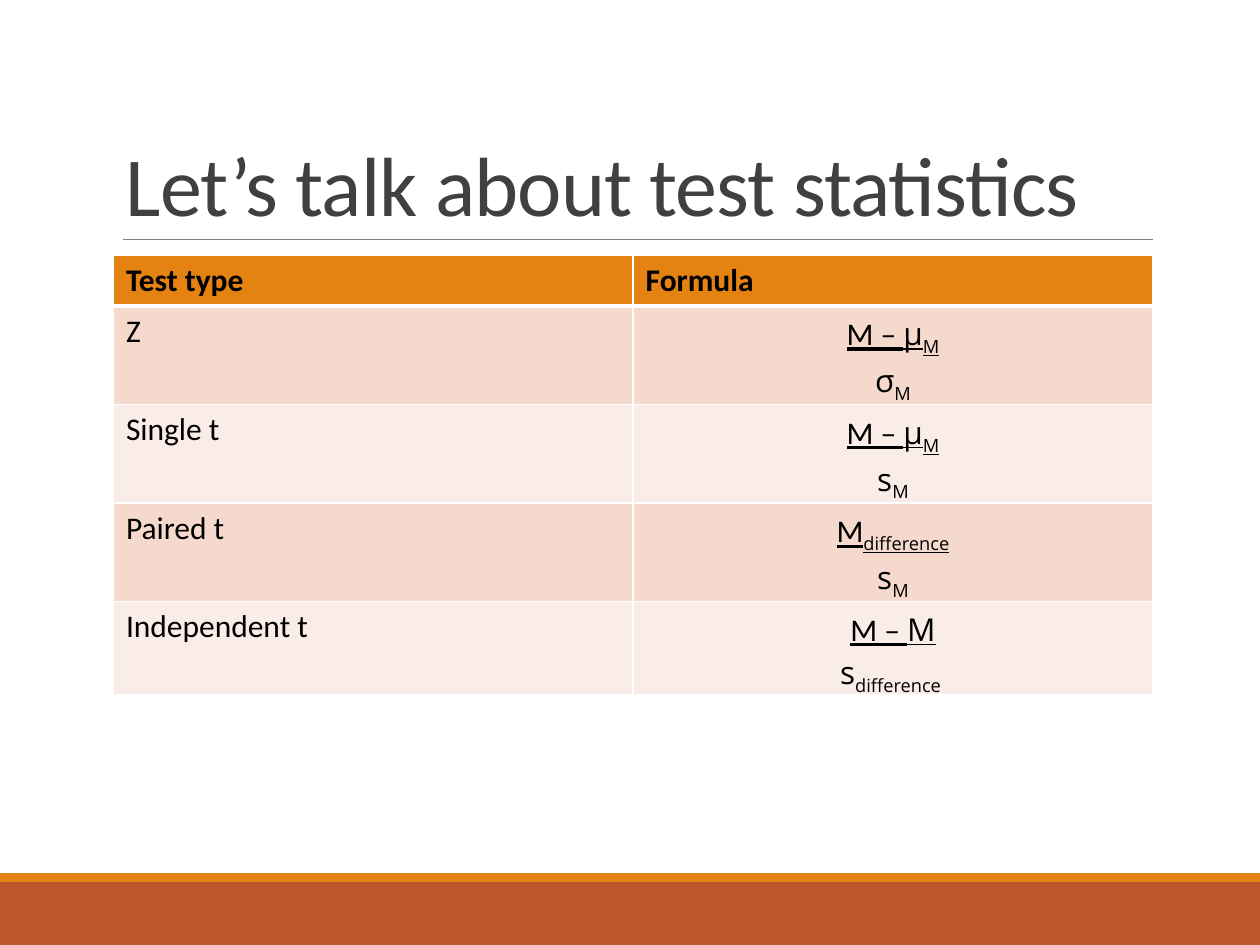
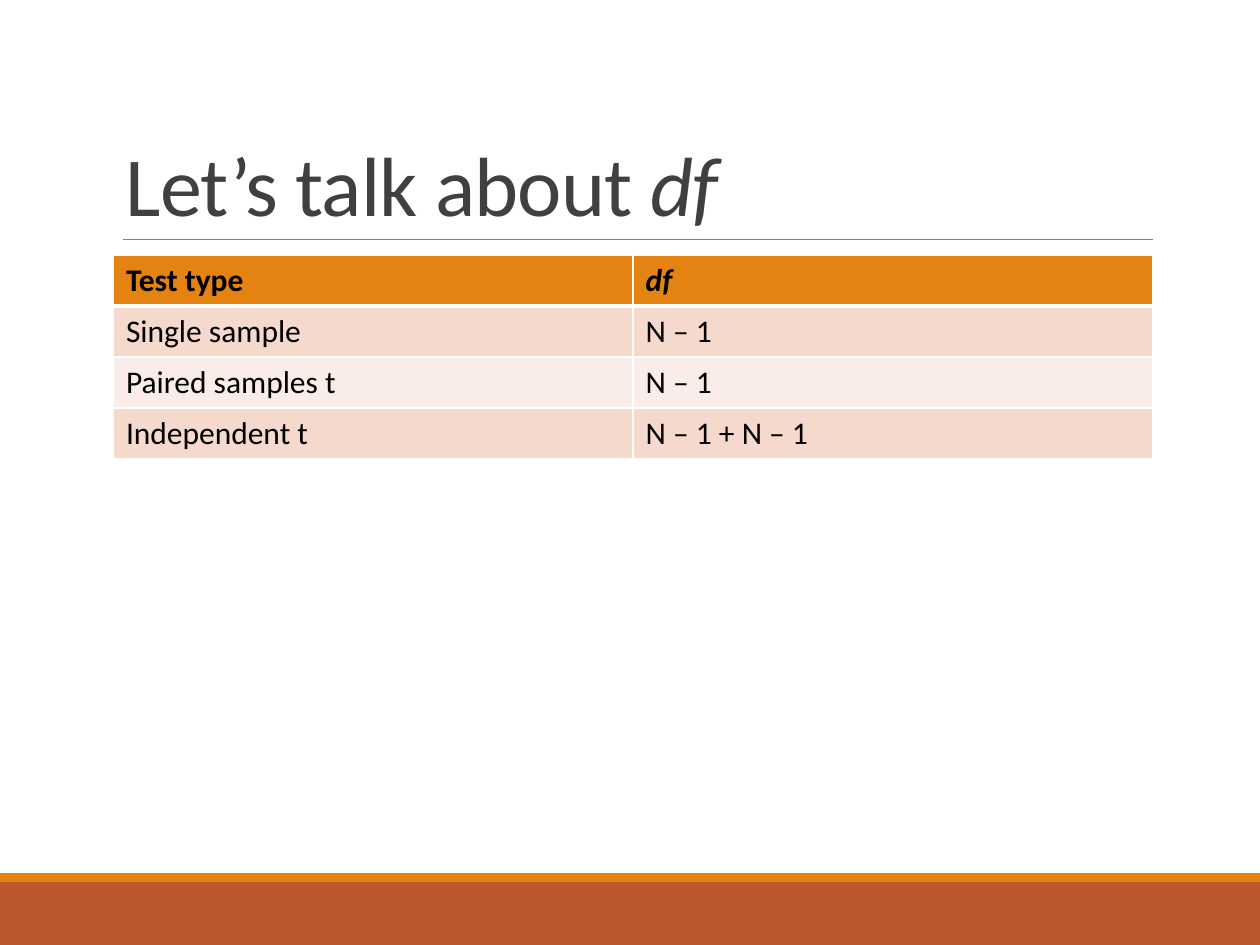
import pptx
import pptx.dml.color
import pptx.enum.shapes
import pptx.enum.text
import pptx.oxml.xmlchemy
import pptx.util
from lxml import etree
from pptx.oxml.ns import qn

Pt = pptx.util.Pt
COLORS = {
    "band": "BD582C",
    "accent": "E48312",
    "rule": "808080",
    "title": "404040",
    "text": "000000",
    "odd_row": "F5D9CC",
    "even_row": "FAEDE7",
    "border": "FFFFFF",
}
BODY_FONT = "Calibri"
FORMULA_FONT = "Open Sans"
SLIDE_WIDTH, SLIDE_HEIGHT = 720, 540
CONTENT_LEFT, CONTENT_WIDTH = 64.8, 594
TABLE_TOP, ROW_HEIGHT = 145.6, 29.2

MEAN_MINUS_MU = [("M – ", "underline"), ("μ", "underline formula"),
                 ("M", "underline formula sub")]
STANDARD_ERROR = [("s", "formula"), ("M", "formula sub")]

TEST_STATISTICS = [
    ("Test type", "Formula"),
    ("Z", [MEAN_MINUS_MU, [("σ", "formula"), ("M", "formula sub")]]),
    ("Single t", [MEAN_MINUS_MU, STANDARD_ERROR]),
    ("Paired t", [[("M", "underline"), ("difference", "underline formula sub")],
                  STANDARD_ERROR]),
    ("Independent t", [[("M – ", "underline"), ("M", "underline formula")],
                       [("s", "formula"), ("difference ", "formula sub")]]),
]
DEGREES_OF_FREEDOM = [
    ("Test type", [[("df", "italic")]]),
    ("Single sample", "N – 1"),
    ("Paired samples t", "N – 1"),
    ("Independent t", "N – 1 + N – 1"),
]


def rgb(name):
    return pptx.dml.color.RGBColor.from_string(COLORS[name])


def write_runs(paragraph, pieces, size, color, bold=False):
    for text, style in pieces:
        run = paragraph.add_run()
        run.text = text
        traits = style.split()
        font = run.font
        font.name = FORMULA_FONT if "formula" in traits else BODY_FONT
        font.size = Pt(size)
        font.color.rgb = rgb(color)
        font.bold = bold
        font.italic = "italic" in traits
        font.underline = "underline" in traits
        if "sub" in traits:
            font._element.set("baseline", "-25000")


def add_band(slide, top, height, color):
    band = slide.shapes.add_shape(
        pptx.enum.shapes.MSO_SHAPE.RECTANGLE,
        Pt(0), Pt(top), Pt(SLIDE_WIDTH), Pt(height))
    band.shadow.inherit = False
    band.fill.solid()
    band.fill.fore_color.rgb = rgb(color)
    band.line.fill.background()


def add_title_rule(slide):
    rule = slide.shapes.add_connector(
        pptx.enum.shapes.MSO_CONNECTOR.STRAIGHT,
        Pt(70.4), Pt(136.8), Pt(CONTENT_LEFT + CONTENT_WIDTH), Pt(136.8))
    rule.line.color.rgb = rgb("rule")
    rule.line.width = Pt(0.5)
    etree.SubElement(rule._element.spPr, qn("a:effectLst"))


def add_title(slide, pieces):
    title = slide.shapes.add_textbox(
        Pt(CONTENT_LEFT), Pt(22.3), Pt(CONTENT_WIDTH), Pt(114.5))
    frame = title.text_frame
    frame.word_wrap = True
    frame.vertical_anchor = pptx.enum.text.MSO_ANCHOR.BOTTOM
    heading = frame.paragraphs[0]
    heading.line_spacing = 0.85
    write_runs(heading, pieces, 48, "title")
    for run in heading.runs:
        run.font._element.set("spc", "-50")


def set_borders(cell, top, bottom):
    properties = cell._tc.get_or_add_tcPr()
    for side, width in (("L", 1), ("R", 1), ("T", top), ("B", bottom)):
        border = etree.SubElement(properties, qn(f"a:ln{side}"), w=str(Pt(width)))
        fill = etree.SubElement(border, qn("a:solidFill"))
        etree.SubElement(fill, qn("a:srgbClr"), val=COLORS["border"])


def fill_cell(cell, content, row):
    set_borders(cell, 3 if row == 1 else 1, 3 if row == 0 else 1)
    cell.fill.solid()
    banding = "odd_row" if row % 2 else "even_row"
    cell.fill.fore_color.rgb = rgb(banding if row else "accent")
    lines = [[(content, "")]] if isinstance(content, str) else content
    for index, pieces in enumerate(lines):
        frame = cell.text_frame
        line = frame.add_paragraph() if index else frame.paragraphs[0]
        if len(lines) > 1:
            line.alignment = pptx.enum.text.PP_ALIGN.CENTER
        write_runs(line, pieces, 18, "text", bold=row == 0)


def add_test_table(slide, rows):
    table = slide.shapes.add_table(
        len(rows), 2, Pt(CONTENT_LEFT), Pt(TABLE_TOP),
        Pt(CONTENT_WIDTH), Pt(ROW_HEIGHT * len(rows))).table
    for row, contents in enumerate(rows):
        for column, content in enumerate(contents):
            fill_cell(table.cell(row, column), content, row)


def add_test_slide(deck, title, rows):
    slide = deck.slides.add_slide(deck.slide_layouts[6])
    add_band(slide, 504, 36, "band")
    add_band(slide, 499, 5, "accent")
    add_title_rule(slide)
    add_title(slide, title)
    add_test_table(slide, rows)


def main():
    deck = pptx.Presentation()
    deck.slide_width, deck.slide_height = Pt(SLIDE_WIDTH), Pt(SLIDE_HEIGHT)
    add_test_slide(deck, [("Let’s talk about test statistics", "")], TEST_STATISTICS)
    add_test_slide(deck, [("Let’s talk about ", ""), ("df", "italic")],
                   DEGREES_OF_FREEDOM)
    deck.save("out.pptx")


if __name__ == "__main__":
    main()
